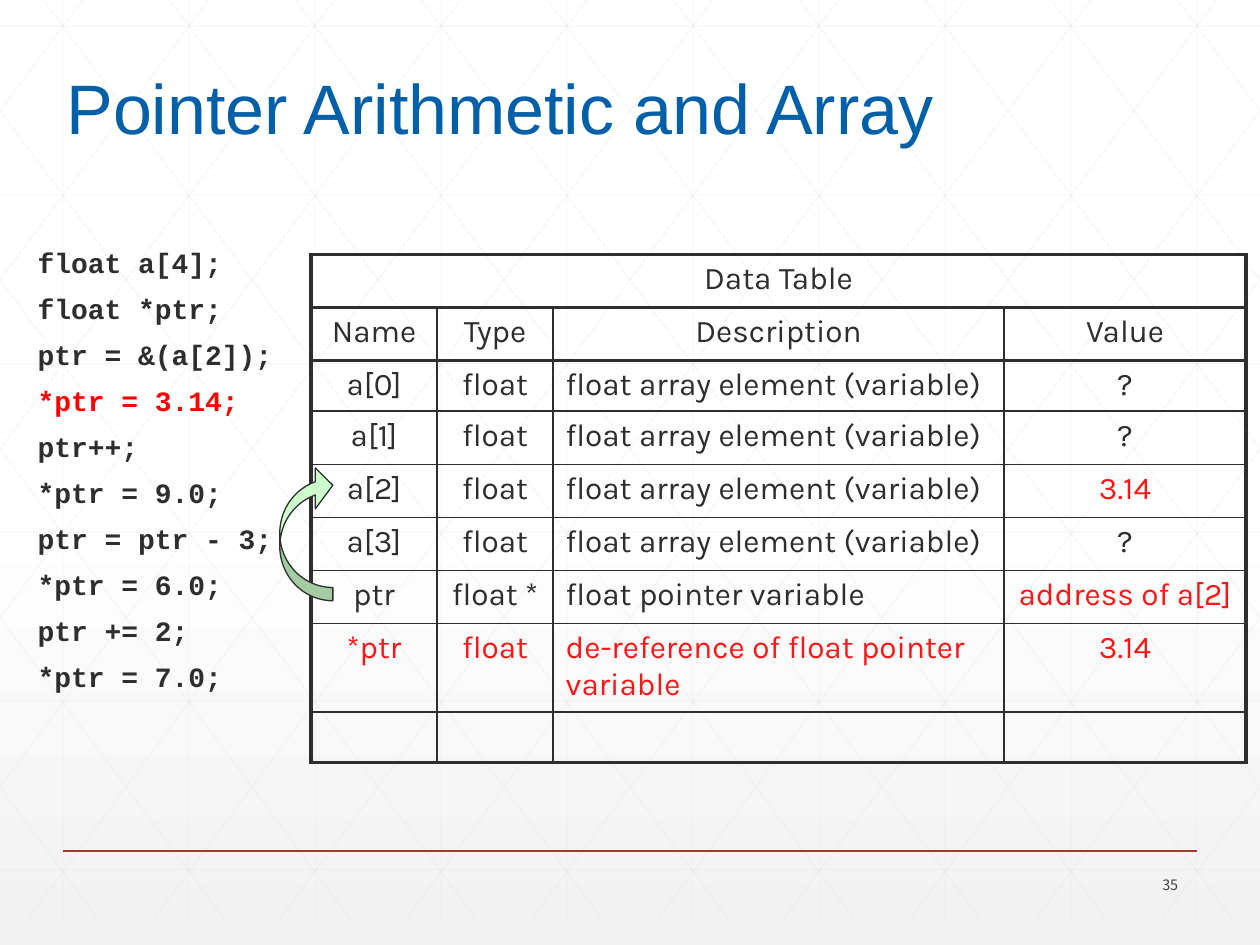
from lxml import etree
from pptx import Presentation
from pptx.dml.color import RGBColor
from pptx.enum.shapes import MSO_CONNECTOR, MSO_SHAPE
from pptx.enum.text import MSO_ANCHOR, PP_ALIGN
from pptx.oxml.ns import qn
from pptx.util import Cm, Pt

STRAIGHT = MSO_CONNECTOR.STRAIGHT
CURVED = MSO_SHAPE.CURVED_LEFT_ARROW
MIDDLE = MSO_ANCHOR.MIDDLE
LEFT, CENTER, RIGHT = PP_ALIGN.LEFT, PP_ALIGN.CENTER, PP_ALIGN.RIGHT

WHITE = RGBColor(0xFF, 0xFF, 0xFF)
PALE = RGBColor(0xF2, 0xF2, 0xF2)
GRID = RGBColor(0xD9, 0xD9, 0xD9)
RUST = RGBColor(0xA4, 0x3F, 0x27)
BLUE = RGBColor(0x00, 0x5F, 0xA9)
INK = RGBColor(0x2D, 0x2E, 0x2D)
GRAY = RGBColor(0x42, 0x43, 0x42)
RED = RGBColor(0xFF, 0x00, 0x00)
CORAL = RGBColor(0xFF, 0x17, 0x17)
MINT = RGBColor(0xCC, 0xFF, 0xCC)

WIDE, HIGH = 25.4, 19.05
THIN, THICK = 1, 2.25

TITLE = {"name": "Arial", "size": Pt(40)}
CODE = {"name": "Courier New", "size": Pt(16), "bold": True}
BODY = {"name": "Karla", "size": Pt(18)}
PAGE = {"name": "Noto Sans CJK TC", "size": Pt(8.2)}

LINES = [
    "float a[4];", "float *ptr;", "ptr = &(a[2]);", "*ptr = 3.14;", "ptr++;",
    "*ptr = 9.0;", "ptr = ptr - 3;", "*ptr = 6.0;", "ptr += 2;", "*ptr = 7.0;",
]
CURRENT = 3

ITEM = "float array element (variable)"
ROWS = [
    ["Data Table", "", "", ""],
    ["Name", "Type", "Description", "Value"],
    ["a[0]", "float", ITEM, "?"],
    ["a[1]", "float", ITEM, "?"],
    ["a[2]", "float", ITEM, "3.14"],
    ["a[3]", "float", ITEM, "?"],
    ["ptr", "float *", "float pointer variable", "address of a[2]"],
    ["*ptr", "float", "de-reference of float pointer variable", "3.14"],
    ["", "", "", ""],
]
WIDTHS = [2.54, 2.34, 9.09, 4.88]
HEIGHTS = [1.07, 1.07, 1.02, 1.07, 1.07, 1.07, 1.07, 1.78, 1.02]
CHANGED = {(4, 3), (6, 3), (7, 0), (7, 1), (7, 2), (7, 3)}


def write(par, text, style, color, align=LEFT):
    par.alignment = align
    run = par.add_run()
    run.text = text
    for key, value in style.items():
        setattr(run.font, key, value)
    run.font.color.rgb = color


def add_box(slide, place, wrap=True):
    frame = slide.shapes.add_textbox(*map(Cm, place)).text_frame
    frame.word_wrap = wrap
    return frame


def add_line(slide, start, end, color, width, alpha=None):
    line = slide.shapes.add_connector(STRAIGHT, *map(Cm, (*start, *end)))
    line.line.color.rgb = color
    line.line.width = Pt(width)
    props = line._element.spPr
    etree.SubElement(props, qn("a:effectLst"))
    if alpha:
        tone = props.find(".//" + qn("a:srgbClr"))
        etree.SubElement(tone, qn("a:alpha"), val=str(alpha * 1000))


def add_grid(slide):
    """Draw the faint lattice of upright, level and slanted lines."""
    top, low, step = -0.53, 18.52, 2.54
    run = 14.2
    slope = (low - top) / run
    pairs = []
    for i in range(10):
        x = 1.27 + i * step
        pairs.append(((x, top), (x, low)))
    for i in range(6):
        y = 0.53 + i * 3.4
        pairs.append(((0, y), (WIDE, y)))
    for i in range(-5, 10):
        first = 0.48 + i * step
        ends = [(x, top + (x - first) * slope)
                for x in (max(first, 0), min(first + run, WIDE))]
        pairs.append(ends)
        pairs.append([(WIDE - x, y) for x, y in ends])
    for start, end in pairs:
        add_line(slide, start, end, GRID, 0.5, 25)


def paint_back(slide):
    fill = slide.background.fill
    fill.gradient()
    fill.gradient_angle = 270
    for stop, color, spot in zip(fill.gradient_stops, (WHITE, PALE), (0.53, 1)):
        stop.color.rgb = color
        stop.position = spot


def add_code(slide):
    frame = add_box(slide, (0.51, 4.9, 5.72, 11.43))
    for i, text in enumerate(LINES):
        par = frame.add_paragraph() if i else frame.paragraphs[0]
        props = par._p.get_or_add_pPr()
        props.set("marL", str(Cm(0.48)))
        props.set("indent", str(-Cm(0.48)))
        par.line_spacing = 0.9
        if i:
            par.space_before = Pt(9)
        write(par, text, CODE, RED if i == CURRENT else INK)


def set_edges(cell, widths):
    props = cell._tc.get_or_add_tcPr()
    for side, width in widths.items():
        edge = etree.SubElement(props, qn("a:ln" + side), w=str(Pt(width)))
        fill = etree.SubElement(edge, qn("a:solidFill"))
        etree.SubElement(fill, qn("a:srgbClr"), val=str(INK))


def add_data(slide):
    count, span = len(ROWS), len(WIDTHS)
    place = (6.27, 5.13, sum(WIDTHS), sum(HEIGHTS))
    table = slide.shapes.add_table(count, span, *map(Cm, place)).table
    table.first_row = table.horz_banding = False
    for col, width in zip(table.columns, WIDTHS):
        col.width = Cm(width)
    for row, height in zip(table.rows, HEIGHTS):
        row.height = Cm(height)
    table.cell(0, 0).merge(table.cell(0, span - 1))
    for r, texts in enumerate(ROWS):
        for c, text in enumerate(texts):
            cell = table.cell(r, c)
            heavy = {"L": c == 0, "R": c == span - 1 or r == 0,
                     "T": r < 3, "B": r < 2 or r == count - 1}
            set_edges(cell, {side: THICK if bold else THIN
                             for side, bold in heavy.items()})
            cell.fill.background()
            if text:
                align = LEFT if c == 2 and r > 1 else CENTER
                color = CORAL if (r, c) in CHANGED else INK
                write(cell.text_frame.paragraphs[0], text, BODY, color, align)


def add_arrow(slide):
    place = (5.64, 9.37, 1.07, 2.74)
    arrow = slide.shapes.add_shape(CURVED, *map(Cm, place))
    arrow.shadow.inherit = False
    arrow.rotation = 180
    for i, value in enumerate((0.25, 0.77, 0.33)):
        arrow.adjustments[i] = value
    arrow.fill.solid()
    arrow.fill.fore_color.rgb = MINT
    arrow.line.color.rgb = INK
    arrow.line.width = Pt(0.75)


def main():
    deck = Presentation()
    deck.slide_width, deck.slide_height = Cm(WIDE), Cm(HIGH)
    slide = deck.slides.add_slide(deck.slide_layouts[6])
    paint_back(slide)
    add_grid(slide)
    add_line(slide, (1.27, 17.15), (24.13, 17.15), RUST, 1)
    page = add_box(slide, (22.1, 17.53, 1.9, 0.61))
    page.vertical_anchor = MIDDLE
    write(page.paragraphs[0], "35", PAGE, GRAY, RIGHT)
    title = add_box(slide, (1.09, 1.17, 18.19, 1.96), wrap=False)
    write(title.paragraphs[0], "Pointer Arithmetic and Array", TITLE, BLUE)
    add_code(slide)
    add_data(slide)
    add_arrow(slide)
    deck.save("out.pptx")


if __name__ == "__main__":
    main()
